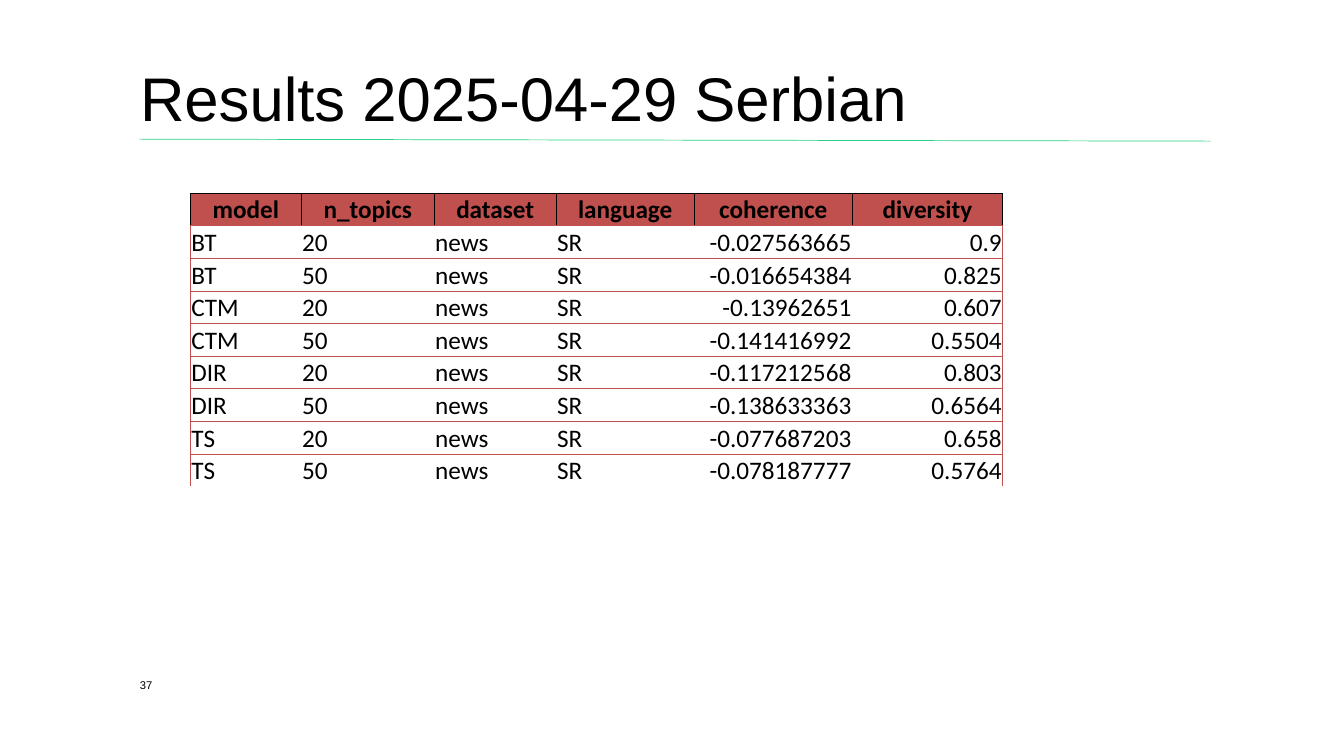
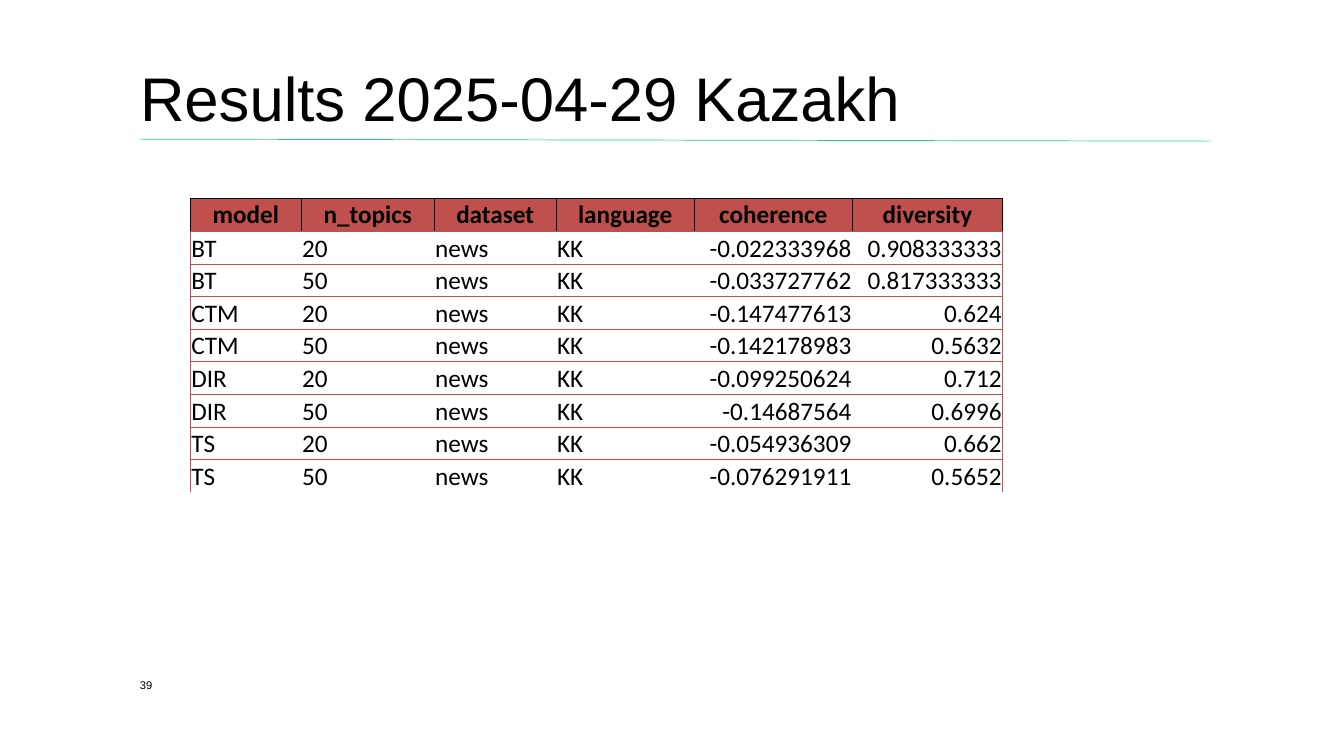
from lxml.etree import SubElement
from pptx import Presentation
from pptx.dml.color import RGBColor
from pptx.enum.shapes import MSO_CONNECTOR
from pptx.enum.text import MSO_ANCHOR, MSO_AUTO_SIZE, PP_ALIGN
from pptx.oxml.ns import qn
from pptx.util import Pt

# Content
HEADERS = ["model", "n_topics", "dataset", "language", "coherence", "diversity"]
RUNS = [(model, topics) for model in ("BT", "CTM", "DIR", "TS") for topics in ("20", "50")]
SLIDES = [
    {
        "title": "Results 2025-04-29 Serbian", "number": "37", "language": "SR", "table_top": 138,
        "scores": [
            ("-0.027563665", "0.9"), ("-0.016654384", "0.825"),
            ("-0.13962651", "0.607"), ("-0.141416992", "0.5504"),
            ("-0.117212568", "0.803"), ("-0.138633363", "0.6564"),
            ("-0.077687203", "0.658"), ("-0.078187777", "0.5764"),
        ],
    },
    {
        "title": "Results 2025-04-29 Kazakh", "number": "39", "language": "KK", "table_top": 142,
        "scores": [
            ("-0.022333968", "0.908333333"), ("-0.033727762", "0.817333333"),
            ("-0.147477613", "0.624"), ("-0.142178983", "0.5632"),
            ("-0.099250624", "0.712"), ("-0.14687564", "0.6996"),
            ("-0.054936309", "0.662"), ("-0.076291911", "0.5652"),
        ],
    },
]

# Shared look, lengths in points
COLORS = {"text": "000000", "rule": "26D07C", "accent": "C0504D"}
LEFT, TITLE_WIDTH = 100, 765
TABLE_LEFT, ROW_HEIGHT = 136, 23.3
COLUMN_WIDTHS = [79.2, 95, 87.1, 98.6, 113, 107.3]
NO_TABLE_STYLE = "{2D5ABB26-0587-4C30-8999-92F81FD0307C}"


def color(name):
    return RGBColor.from_string(COLORS[name])


def write(frame, text, size, font="Arial", bold=False, align=PP_ALIGN.LEFT, spacing=1.0):
    frame.text = text
    paragraph = frame.paragraphs[0]
    paragraph.alignment = align
    paragraph.line_spacing = spacing
    paragraph.font.size = Pt(size)
    paragraph.font.name = font
    paragraph.font.bold = bold
    paragraph.font.color.rgb = color("text")


def write_box(shape, text, size, **format_options):
    frame = shape.text_frame
    frame.word_wrap = True
    frame.auto_size = MSO_AUTO_SIZE.NONE
    frame.vertical_anchor = MSO_ANCHOR.BOTTOM
    frame.margin_left = frame.margin_top = frame.margin_right = frame.margin_bottom = 0
    write(frame, text, size, **format_options)


def set_borders(cell, borders):
    properties = cell._tc.get_or_add_tcPr()
    for side in "LRTB":
        line = SubElement(properties, qn(f"a:ln{side}"), w=str(Pt(0.5)))
        if side in borders:
            fill = SubElement(line, qn("a:solidFill"))
            SubElement(fill, qn("a:srgbClr"), val=COLORS[borders[side]])
        else:
            SubElement(line, qn("a:noFill"))


def cell_borders(row, column, last_row, last_column):
    if row == 0:
        return {"L": "text", "R": "text", "T": "text", "B": "accent"}
    sides = "T"
    if row < last_row:
        sides += "B"
    if column == 0:
        sides += "L"
    if column == last_column:
        sides += "R"
    return dict.fromkeys(sides, "accent")


def format_cell(cell, text, row, column, borders):
    is_header = row == 0
    if is_header:
        align = PP_ALIGN.CENTER
    else:
        align = PP_ALIGN.RIGHT if column >= 4 else PP_ALIGN.LEFT
    cell.margin_left = cell.margin_top = cell.margin_right = Pt(0.7)
    cell.margin_bottom = 0
    cell.vertical_anchor = MSO_ANCHOR.TOP if is_header else MSO_ANCHOR.BOTTOM
    write(cell.text_frame, text, 18, font="Calibri", bold=is_header, align=align)
    set_borders(cell, borders)
    if is_header:
        cell.fill.solid()
        cell.fill.fore_color.rgb = color("accent")
    else:
        cell.fill.background()


def add_results_table(slide, rows, top):
    shape = slide.shapes.add_table(
        len(rows), len(HEADERS), Pt(TABLE_LEFT), Pt(top),
        Pt(sum(COLUMN_WIDTHS)), Pt(ROW_HEIGHT * len(rows)))
    table = shape.table
    table.first_row = table.horz_banding = False
    table._tbl.tblPr.find(qn("a:tableStyleId")).text = NO_TABLE_STYLE
    for column, width in zip(table.columns, COLUMN_WIDTHS):
        column.width = Pt(width)
    for row_index, values in enumerate(rows):
        table.rows[row_index].height = Pt(ROW_HEIGHT)
        for column_index, text in enumerate(values):
            borders = cell_borders(row_index, column_index, len(rows) - 1, len(HEADERS) - 1)
            format_cell(table.cell(row_index, column_index), text,
                        row_index, column_index, borders)


def prepare_layout(layout):
    """Place the title and drop the unused footer placeholders."""
    for placeholder in list(layout.placeholders):
        if placeholder.placeholder_format.idx != 0:
            placeholder.element.getparent().remove(placeholder.element)
            continue
        placeholder.left, placeholder.top = Pt(LEFT), Pt(29)
        placeholder.width, placeholder.height = Pt(TITLE_WIDTH), Pt(67.5)


def add_layout_rule(layout, slide):
    """Draw the title rule on a slide, then move it to the layout for all slides."""
    rule = slide.shapes.add_connector(
        MSO_CONNECTOR.STRAIGHT, Pt(99.4), Pt(99.4), Pt(864.7), Pt(100.8))
    rule.line.color.rgb = color("rule")
    rule.line.width = Pt(0.5)
    SubElement(rule.element.spPr, qn("a:effectLst"))
    layout.shapes.element.append(rule.element)


def main():
    presentation = Presentation()
    presentation.slide_width, presentation.slide_height = Pt(960), Pt(540)
    layout = presentation.slide_layouts[5]
    prepare_layout(layout)

    for index, content in enumerate(SLIDES):
        slide = presentation.slides.add_slide(layout)
        if index == 0:
            add_layout_rule(layout, slide)
        write_box(slide.shapes.title, content["title"], 44, spacing=0.9)
        number = slide.shapes.add_textbox(Pt(LEFT), Pt(475.2), Pt(36), Pt(18.7))
        write_box(number, content["number"], 8)
        rows = [HEADERS] + [
            [model, topics, "news", content["language"], *scores]
            for (model, topics), scores in zip(RUNS, content["scores"])]
        add_results_table(slide, rows, content["table_top"])

    presentation.save("out.pptx")


if __name__ == "__main__":
    main()
